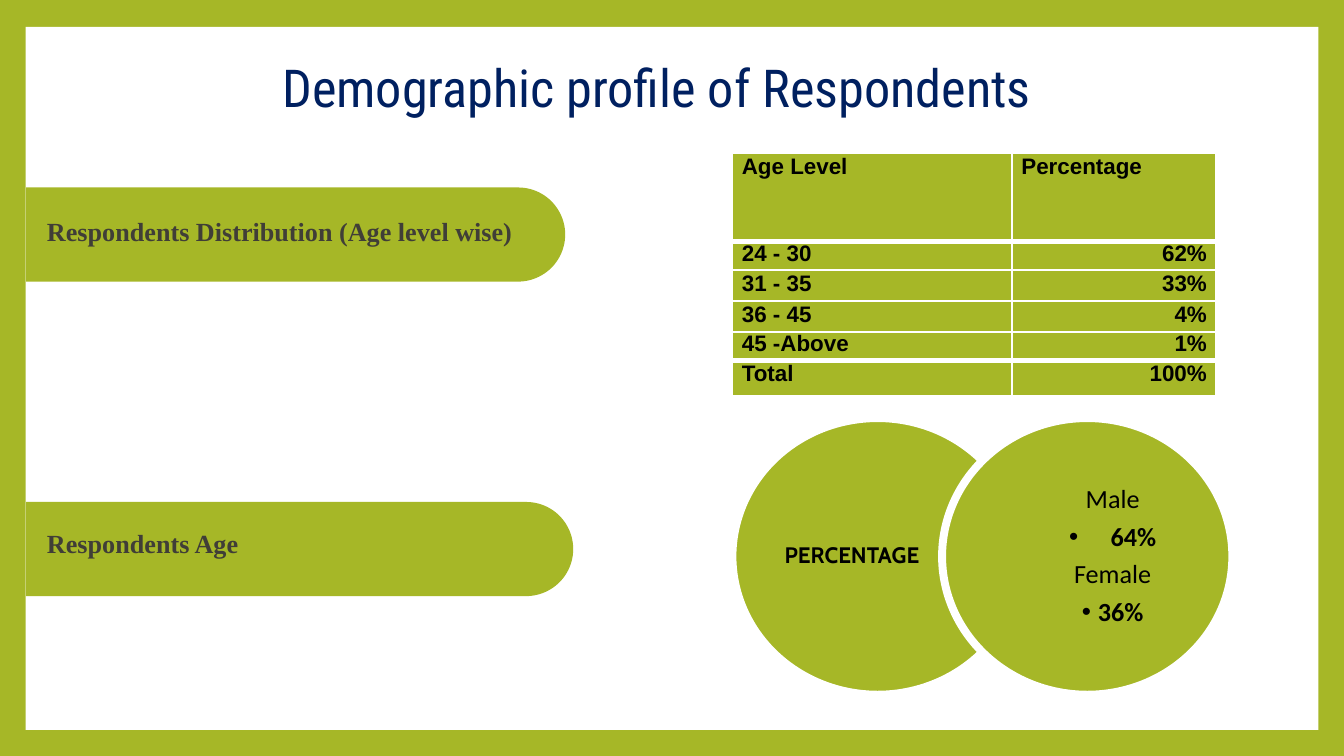
from lxml.etree import SubElement
from pptx import Presentation
from pptx.dml.color import RGBColor
from pptx.enum.shapes import MSO_SHAPE
from pptx.enum.text import MSO_ANCHOR, PP_ALIGN
from pptx.oxml.ns import qn
from pptx.util import Inches, Pt

GREEN, WHITE, BLACK = "A6B727", "FFFFFF", "000000"
NAVY, BROWN = "002060", "403E37"


def rgb(value):
    """Turn a hex string into a colour."""
    return RGBColor.from_string(value)


class Deck:
    """Slide builder whose lengths are percentages of the slide's size."""

    def __init__(self):
        """Open a 16:9 presentation with one green title slide."""
        self.prs = Presentation()
        self.prs.slide_width = Inches(10)
        self.prs.slide_height = Inches(10) * 9 // 16
        self.s = self.prs.slides.add_slide(self.prs.slide_layouts[5])
        fill = self.s.background.fill
        fill.solid()
        fill.fore_color.rgb = rgb(GREEN)

    def x(self, share):
        """Convert a share of the width."""
        return round(self.prs.slide_width * share / 100)

    def y(self, share):
        """Convert a share of the height."""
        return round(self.prs.slide_height * share / 100)

    def box(self, x, y, w, h):
        """Convert left, top, width and height."""
        return self.x(x), self.y(y), self.x(w), self.y(h)

    def run(self, p, text, size, font, color=BLACK, bold=False):
        """Append a formatted run."""
        r = p.add_run()
        r.text = text
        r.font.size, r.font.name, r.font.bold = Pt(size), font, bold
        r.font.color.rgb = rgb(color)

    def margins(self, target, left, top, right, bottom):
        """Set text insets in inches on a frame or cell."""
        target.margin_left, target.margin_right = Inches(left), Inches(right)
        target.margin_top, target.margin_bottom = Inches(top), Inches(bottom)

    def title(self, text, *area):
        """Place and fill the title placeholder."""
        sp = self.s.shapes.title
        sp.left, sp.top, sp.width, sp.height = self.box(*area)
        tf = sp.text_frame
        tf.vertical_anchor = MSO_ANCHOR.TOP
        p = tf.paragraphs[0]
        p.alignment = PP_ALIGN.CENTER
        self.run(p, text, 28, "Roboto Condensed", NAVY)

    def shape(self, kind, area, fill, line=None):
        """Add a flat preset shape."""
        sp = self.s.shapes.add_shape(kind, *area)
        sp.shadow.inherit = False
        sp.fill.solid()
        sp.fill.fore_color.rgb = rgb(fill)
        if line:
            sp.line.color.rgb, sp.line.width = rgb(WHITE), Pt(line)
        else:
            sp.line.fill.background()
        return sp

    def tab(self, text, top, width, text_top):
        """Add a tab rounded at its right end, with its label."""
        left, y, w, h = self.box(1.95, top, width, 12.45)
        area = left + (w - h) // 2, y + (h - w) // 2, h, w
        sp = self.shape(MSO_SHAPE.ROUND_2_SAME_RECTANGLE, area, GREEN)
        sp.rotation = 90
        sp.adjustments[0], sp.adjustments[1] = 0.5, 0
        tf = self.s.shapes.add_textbox(*self.box(2, text_top, 37.6, 4.45)).text_frame
        tf.word_wrap = True
        self.margins(tf, 0.15, 0.04, 0.07, 0.04)
        self.run(tf.paragraphs[0], text, 14, "Times New Roman", BROWN, True)

    def circle(self, left, insets, lines):
        """Add an outlined circle with (text, size, font, bold, indent) lines."""
        sp = self.shape(MSO_SHAPE.OVAL, self.box(left, 55.3, 21.6, 36.6), GREEN, 4.25)
        tf = sp.text_frame
        tf.word_wrap, tf.vertical_anchor = True, MSO_ANCHOR.MIDDLE
        self.margins(tf, *insets)
        for i, (text, size, font, bold, indent) in enumerate(lines):
            p = tf.add_paragraph() if i else tf.paragraphs[0]
            if indent:
                self.bullet(p, indent)
            p.alignment, p.line_spacing = PP_ALIGN.CENTER, 0.9
            p.space_after = Pt(5 if i < len(lines) - 1 else 0)
            self.run(p, text, size, font, BLACK, bold)

    def bullet(self, p, indent):
        """Give a paragraph a hanging black bullet."""
        pPr = p._p.get_or_add_pPr()
        pPr.set("marL", str(Inches(indent)))
        pPr.set("indent", str(-Inches(indent)))
        color = SubElement(pPr, qn("a:buClr"))
        SubElement(color, qn("a:srgbClr"), val=BLACK)
        SubElement(pPr, qn("a:buFont"), typeface="Arial")
        SubElement(pPr, qn("a:buChar"), char="•")

    def borders(self, cell, top, bottom):
        """Draw white cell borders, widths in points."""
        tcPr = cell._tc.get_or_add_tcPr()
        for side, width in (("L", 1), ("R", 1), ("T", top), ("B", bottom)):
            ln = SubElement(tcPr, qn(f"a:ln{side}"), w=str(Pt(width)))
            fill = SubElement(ln, qn("a:solidFill"))
            SubElement(fill, qn("a:srgbClr"), val=WHITE)

    def table(self, rows, area, widths, heights):
        """Add a table with thick rules below the header and above the total."""
        frame = self.s.shapes.add_table(len(rows), len(widths), *self.box(*area))
        table = frame.table
        table.first_row = table.horz_banding = False
        for col, width in zip(table.columns, widths):
            col.width = self.x(width)
        last = len(rows) - 1
        for i, (values, height) in enumerate(zip(rows, heights)):
            table.rows[i].height = self.y(height)
            for j, text in enumerate(values):
                cell = table.cell(i, j)
                self.borders(cell, 3 if i in (1, last) else 1, 3 if i in (0, last - 1) else 1)
                cell.fill.solid()
                cell.fill.fore_color.rgb = rgb(GREEN)
                self.margins(cell, 0.07, 0, 0.07, 0)
                p = cell.text_frame.paragraphs[0]
                p.alignment = PP_ALIGN.RIGHT if i and j else PP_ALIGN.LEFT
                p.line_spacing = Pt(13.1 if i in (1, last - 1) else 13.8)
                self.run(p, text, 12, "Arial", BLACK, True)


def main():
    """Build the slide."""
    deck = Deck()
    panel = deck.shape(MSO_SHAPE.RECTANGLE, deck.box(1.9, 3.55, 96.2, 93), WHITE)
    deck.s.shapes._spTree.insert(2, panel._element)
    deck.title("Demographic profile of Respondents", 19.8, 6.4, 58.1, 10.15)
    deck.tab("Respondents Distribution (Age level wise)", 24.8, 40.1, 27.75)
    deck.tab("Respondents Age", 66.4, 40.7, 69)
    rows = [
        ("Age Level", "Percentage"),
        ("24 - 30", "62%"),
        ("31 - 35", "33%"),
        ("36 - 45", "4%"),
        ("45 -Above", "1%"),
        ("Total", "100%"),
    ]
    deck.table(rows, (54.5, 20.3, 36, 32.1), (20.8, 15.2), (11.65, 3.8, 4.1, 4.1, 3.8, 4.65))
    deck.circle(54.5, (0.05, 0.01, 0.43, 0.01), [("PERCENTAGE", 12, "Cabin", True, 0)])
    deck.circle(70.1, (0.43, 0.01, 0.05, 0.01), [
        ("Male", 14, "Calibri", False, 0),
        ("64%", 14, "Calibri", True, 0.31),
        ("Female", 14, "Calibri", False, 0),
        ("36%", 14, "Calibri", True, 0.12),
    ])
    deck.prs.save("out.pptx")


if __name__ == "__main__":
    main()
